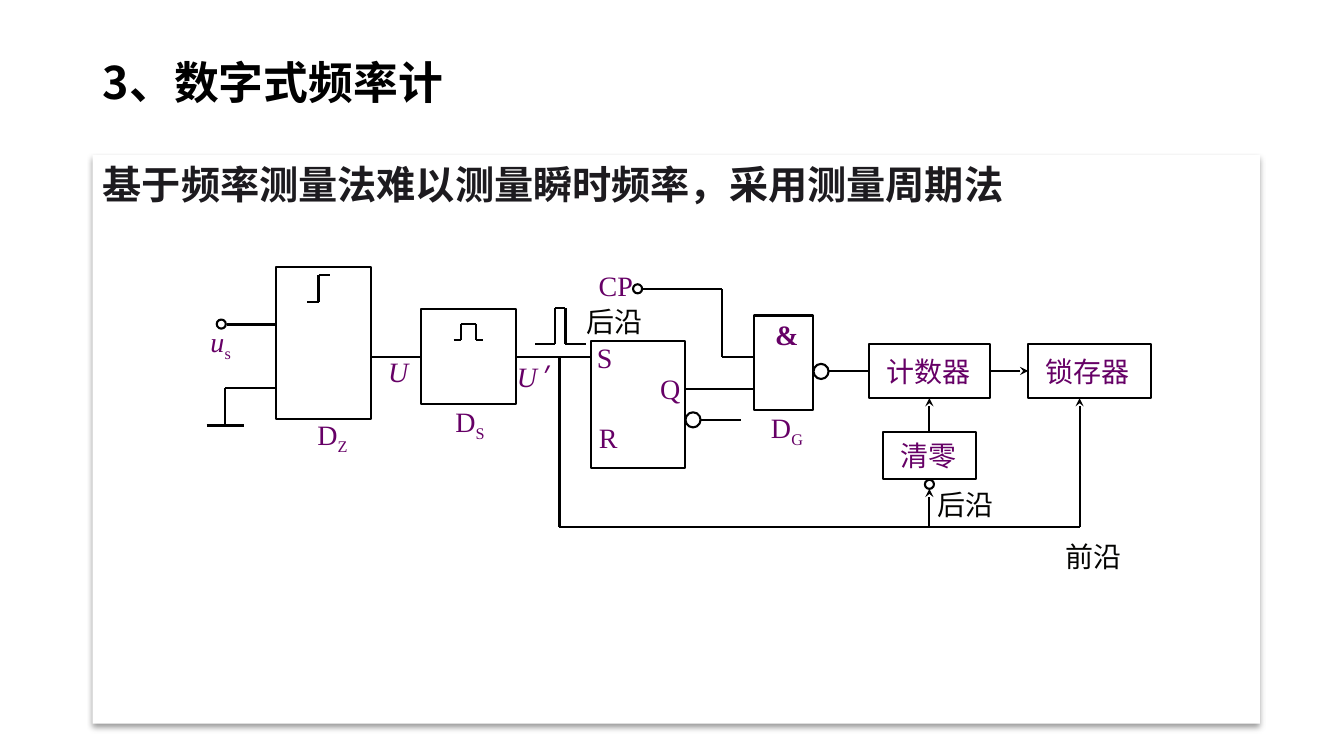
from itertools import pairwise

from lxml import etree
from pptx import Presentation
from pptx.dml.color import RGBColor
from pptx.enum.shapes import MSO_CONNECTOR, MSO_SHAPE
from pptx.enum.text import MSO_ANCHOR, MSO_AUTO_SIZE, PP_ALIGN
from pptx.oxml.ns import qn
from pptx.util import Inches, Pt

STRAIGHT = MSO_CONNECTOR.STRAIGHT
RECTANGLE, OVAL = MSO_SHAPE.RECTANGLE, MSO_SHAPE.OVAL
TOP, MIDDLE = MSO_ANCHOR.TOP, MSO_ANCHOR.MIDDLE
LEFT, CENTER, JUSTIFY = PP_ALIGN.LEFT, PP_ALIGN.CENTER, PP_ALIGN.JUSTIFY
NO_FIT, GROW = MSO_AUTO_SIZE.NONE, MSO_AUTO_SIZE.SHAPE_TO_FIT_TEXT
TOP_SIDE, LEFT_SIDE, BOTTOM_SIDE, RIGHT_SIDE = range(4)

CELL = Inches(0.1)
COLUMNS, ROWS = 133.33, 75
COLORS = {
    "title": "000000",
    "statement": "1D1B1F",
    "ink": "000000",
    "signal": "660066",
    "edge": "030301",
    "card": "FFFFFF",
}
HAN, LATIN = "Noto Sans CJK SC", "Times New Roman"
ITALIC = {"italic": True}
SUBSCRIPT = {"baseline": "-25000"}
NO_INSETS = dict.fromkeys(("margin_left", "margin_top", "margin_right", "margin_bottom"), 0)


def grid(*cells):
    return [round(cell * CELL) for cell in cells]


def color(name):
    return RGBColor.from_string(COLORS[name])


def apply(target, values):
    for name, value in values.items():
        setattr(target, name, value)


def add_run(paragraph, text, tint, size=20, name=LATIN, baseline=None, **style):
    run = paragraph.add_run()
    run.text = text
    apply(run.font, {"size": Pt(size), "name": name, **style})
    run.font.color.rgb = color(tint)
    properties = run._r.get_or_add_rPr()
    etree.SubElement(properties, qn("a:ea"), typeface=HAN)
    if baseline:
        properties.set("baseline", baseline)


def fill_placeholder(holder, area, text, tint, size, anchor, spacing):
    apply(holder, dict(zip(("left", "top", "width", "height"), grid(*area))))
    apply(holder.text_frame, {"auto_size": NO_FIT, "vertical_anchor": anchor})
    paragraph = holder.text_frame.paragraphs[0]
    properties = paragraph._p.get_or_add_pPr()
    apply(paragraph, {"alignment": LEFT, "line_spacing": spacing, "space_before": Pt(0)})
    properties.set("marL", "0")
    properties.set("indent", "0")
    etree.SubElement(properties, qn("a:buNone"))
    add_run(paragraph, text, tint, size, HAN, bold=True)


def add_outline(slide, kind, *area):
    shape = slide.shapes.add_shape(kind, *grid(*area))
    shape.shadow.inherit = False
    shape.fill.background()
    shape.line.color.rgb = color("ink")
    shape.line.width = Pt(1.5)
    return shape


def add_card(slide, behind):
    card = add_outline(slide, RECTANGLE, 9.2, 15.4, 115.8, 56.4)
    card.fill.solid()
    card.fill.fore_color.rgb = color("card")
    card.line.fill.background()
    effects = card._element.spPr.find(qn("a:effectLst"))
    shadow = etree.SubElement(effects, qn("a:outerShdw"), blurRad=str(Pt(4)),
                              dist=str(Pt(3)), dir="5400000", rotWithShape="0")
    tone = etree.SubElement(shadow, qn("a:srgbClr"), val=COLORS["ink"])
    etree.SubElement(tone, qn("a:alpha"), val="40000")
    behind._element.addprevious(card._element)


def add_named_block(slide, text, *area):
    block = add_outline(slide, RECTANGLE, *area)
    apply(block.text_frame, {"margin_left": Inches(0.17), "margin_right": 0,
                             "margin_top": 0, "margin_bottom": 0,
                             "vertical_anchor": MIDDLE, "word_wrap": True})
    paragraph = block.text_frame.paragraphs[0]
    paragraph.alignment = JUSTIFY
    add_run(paragraph, text, "signal")
    return block


def add_label(slide, runs, area, tint="signal", align=JUSTIFY, **frame):
    label = slide.shapes.add_textbox(*grid(*area))
    apply(label.text_frame, {"word_wrap": True, **frame})
    paragraph = label.text_frame.paragraphs[0]
    paragraph.alignment = align
    for text, style in runs:
        add_run(paragraph, text, tint, **style)


def add_wire(slide, *points, start=None, end=None, arrow=False, width=1.5):
    wires = []
    for begin, finish in pairwise(points):
        wire = slide.shapes.add_connector(STRAIGHT, *grid(*begin, *finish))
        wire.line.color.rgb = color("ink")
        wire.line.width = Pt(width)
        etree.SubElement(wire._element.spPr, qn("a:effectLst"))
        wires.append(wire)
    if start:
        wires[0].begin_connect(*start)
    if end:
        wires[-1].end_connect(*end)
    if arrow:
        etree.SubElement(wires[-1].line._get_or_add_ln(), qn("a:tailEnd"), type="stealth")


def add_circuit(slide):
    add_outline(slide, RECTANGLE, 27.4, 26.5, 9.4, 15.1)
    shaper = add_outline(slide, RECTANGLE, 41.8, 30.7, 9.4, 9.4)
    add_outline(slide, RECTANGLE, 58.6, 33.8, 9.4, 12.6)
    add_outline(slide, RECTANGLE, 74.8, 31.3, 5.9, 9.4)
    counter = add_named_block(slide, "计数器", 86.2, 34.1, 12, 5.4)
    latch = add_named_block(slide, "锁存器", 102, 34.1, 12.2, 5.4)
    clear = add_named_block(slide, "清零", 87.6, 42.9, 9.2, 4.6)

    for left, top, size in ((62.8, 28.2, 0.9), (21.5, 31.7, 0.9), (91.75, 47.6, 0.9),
                            (80.7, 36.1, 1.5), (68, 40.9, 1.5)):
        add_outline(slide, OVAL, left, top, size, size)

    for points in (
        [(30.5, 30), (31.6, 30), (31.6, 27.3), (32.7, 27.3)],
        [(45, 33.7), (45.7, 33.7), (45.7, 32.1), (47.2, 32.1), (47.2, 33.7), (47.9, 33.7)],
        [(53.1, 34.1), (55.1, 34.1), (55.1, 30.6), (56.1, 30.6), (56.1, 34.1), (58.1, 34.1)],
        [(22.5, 32.2), (27.4, 32.2)],
        [(27.4, 38.5), (22.3, 38.5), (22.3, 42.1)],
        [(63.7, 28.7), (71.6, 28.7), (71.6, 35.4), (74.8, 35.4)],
        [(68, 38.6), (74.8, 38.6)],
        [(69.5, 41.7), (73.5, 41.7)],
    ):
        add_wire(slide, *points)
    add_wire(slide, (20.5, 42.2), (24.2, 42.2), width=2.5)
    add_wire(slide, (36.8, 35.4), (41.8, 35.4), end=(shaper, LEFT_SIDE))
    add_wire(slide, (51.2, 35.4), (58.6, 35.4), start=(shaper, RIGHT_SIDE))
    add_wire(slide, (82.2, 36.8), (86.2, 36.8), end=(counter, LEFT_SIDE))
    add_wire(slide, (98.2, 36.8), (102, 36.8), arrow=True,
             start=(counter, RIGHT_SIDE), end=(latch, LEFT_SIDE))
    add_wire(slide, (92.2, 42.9), (92.2, 39.5), arrow=True,
             start=(clear, TOP_SIDE), end=(counter, BOTTOM_SIDE))
    add_wire(slide, (92.2, 52.3), (92.2, 48.5), arrow=True)
    add_wire(slide, (55.5, 35.4), (55.5, 52.3), (107.1, 52.3), (107.1, 39.5), arrow=True)


def add_labels(slide):
    for runs, area in (
        ([("CP", {})], (58.4, 26.1, 9.8, 6.5)),
        ([("u", ITALIC), ("s", SUBSCRIPT)], (19.9, 31.7, 7.3, 6)),
        ([("U", ITALIC), ("′", {**ITALIC, "name": HAN})], (50.3, 35.2, 10.7, 6)),
        ([("Q", {})], (64.5, 36.4, 6, 5.6)),
        ([("D", {}), ("Z", SUBSCRIPT)], (30.5, 40.9, 8, 5.6)),
        ([("D", {}), ("S", SUBSCRIPT)], (44.2, 39.6, 8, 5.6)),
        ([("D", {}), ("G", SUBSCRIPT)], (75.5, 40.2, 9.5, 6.3)),
    ):
        add_label(slide, runs, area)
    add_label(slide, [("U", ITALIC)], (36.5, 34.7, 6, 5.2), align=CENTER)
    for text, style, area in (("&", {"bold": True}, (76.9, 31.5, 3.2, 5.2)),
                              ("S", {}, (59.2, 33.8, 1.9, 3.2)),
                              ("R", {}, (59.4, 41.7, 2.1, 3.1))):
        add_label(slide, [(text, style)], area, **NO_INSETS)
    for text, left, top in (("前沿", 104.7, 53), ("后沿", 92, 47.9), ("后沿", 57.2, 29.7)):
        add_label(slide, [(text, {})], (left, top, 7.6, 4.3), "edge", LEFT,
                  word_wrap=False, auto_size=GROW)


def main():
    deck = Presentation()
    deck.slide_width, deck.slide_height = grid(COLUMNS, ROWS)
    slide = deck.slides.add_slide(deck.slide_layouts[1])
    title, statement = slide.placeholders
    fill_placeholder(title, (9.2, 5.2, 115, 6.5), "3、数字式频率计",
                     "title", 32, MIDDLE, 0.9)
    fill_placeholder(statement, (9.2, 13.1, 115, 54.4),
                     "基于频率测量法难以测量瞬时频率，采用测量周期法",
                     "statement", 28, TOP, 1.5)
    add_card(slide, title)
    add_circuit(slide)
    add_labels(slide)
    deck.save("out.pptx")


if __name__ == "__main__":
    main()
